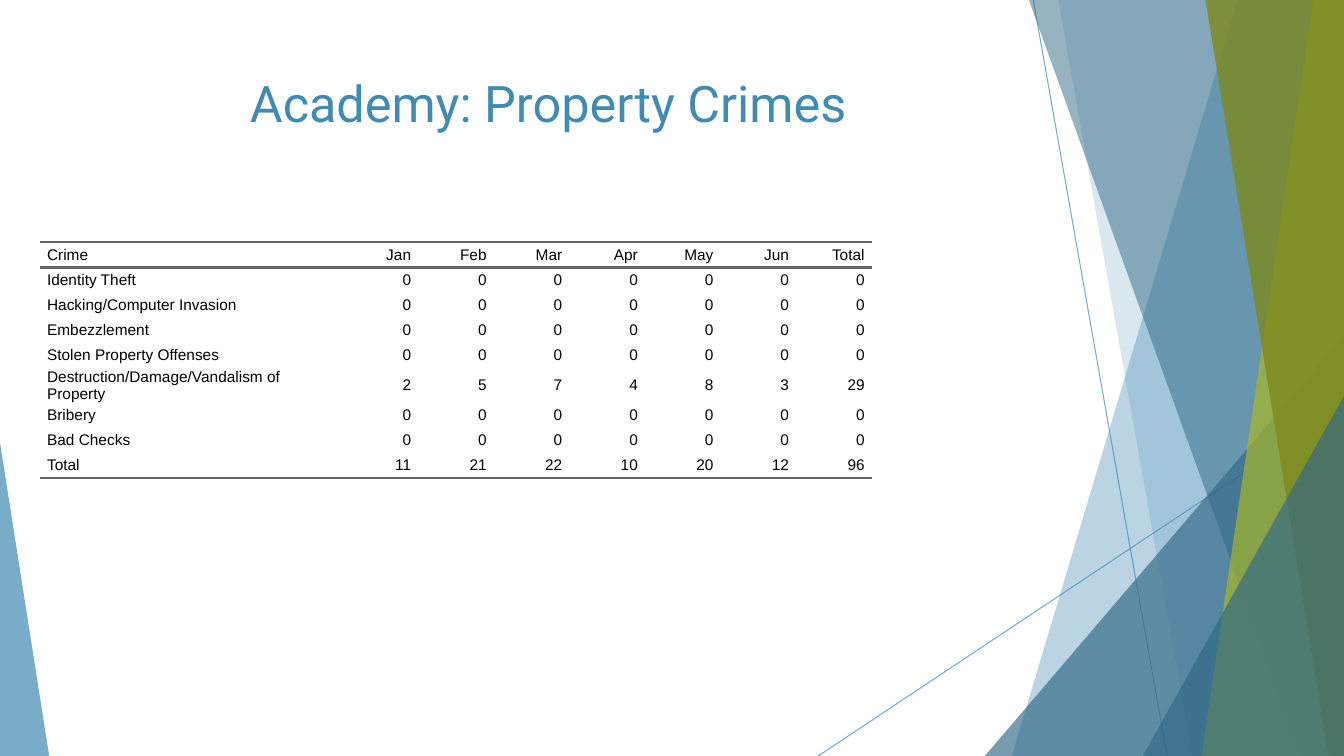
from dataclasses import dataclass

from lxml import etree
from pptx import Presentation
from pptx.dml.color import RGBColor
from pptx.enum.shapes import MSO_CONNECTOR, MSO_SHAPE
from pptx.enum.text import MSO_ANCHOR, PP_ALIGN
from pptx.oxml.ns import qn
from pptx.util import Cm, Pt

LINE = MSO_CONNECTOR.STRAIGHT
WEDGE = MSO_SHAPE.ISOSCELES_TRIANGLE
LEFT, RIGHT, CENTER = PP_ALIGN.LEFT, PP_ALIGN.RIGHT, PP_ALIGN.CENTER
TOP, MIDDLE = MSO_ANCHOR.TOP, MSO_ANCHOR.MIDDLE
PLAIN = "{2D5ABB26-0587-4C30-8999-92F81FD0307C}"  # table style without lines or fills


@dataclass(frozen=True)
class Theme:
    blue: str = "418AB3"
    navy: str = "316886"
    lime: str = "A6B727"
    olive: str = "7D891D"
    ink: str = "000000"
    rule: str = "666666"
    head: str = "Roboto"
    body: str = "Arial"
    title: int = 36
    cell: int = 11


@dataclass(frozen=True)
class Box:
    x: float
    y: float
    w: float
    h: float

    def emu(self):
        return Cm(self.x), Cm(self.y), Cm(self.w), Cm(self.h)


THEME = Theme()
WIDE, HIGH = 33.87, 19.05

# Fan parts from back to front: a band has its top and bottom left x,
# a wedge has its left x and top y; all reach the right edge and the bottom.
FAN = [
    ("band", 10.57, 4.88, THEME.blue, 36),
    ("band", 6.05, 9.43, THEME.blue, 20),
    ("wedge", 4.2, 8.46, THEME.navy, 66),
    ("band", 5.31, 12.17, THEME.navy, 50),
    ("band", 12.48, 9.66, THEME.lime, 70),
    ("band", 9.76, 12.86, THEME.olive, 80),
    ("wedge", 8.18, 9.98, THEME.navy, 66),
]

MONTHS = ["Jan", "Feb", "Mar", "Apr", "May", "Jun"]
NONE = [0] * 7
CRIMES = [
    ["Crime", *MONTHS, "Total"],
    ["Identity Theft", *NONE],
    ["Hacking/Computer Invasion", *NONE],
    ["Embezzlement", *NONE],
    ["Stolen Property Offenses", *NONE],
    ["Destruction/Damage/Vandalism of Property", 2, 5, 7, 4, 8, 3, 29],
    ["Bribery", *NONE],
    ["Bad Checks", *NONE],
    ["Total", 11, 21, 22, 10, 20, 12, 96],
]


def apply(item, values):
    for name, value in values.items():
        setattr(item, name, value)


def write(para, text, font, size, color, **style):
    run = para.add_run()
    run.text = text
    apply(run.font, {"name": font, "size": Pt(size)})
    run.font.color.rgb = RGBColor.from_string(color)
    apply(para, style)


def fade(fill, alpha):
    """Set the opacity, in percent, of a solid fill."""
    color = fill.find(".//" + qn("a:srgbClr"))
    etree.SubElement(color, qn("a:alpha"), val=str(alpha * 1000))


def paint(shape, color, alpha):
    shape.shadow.inherit = False
    shape.fill.solid()
    shape.fill.fore_color.rgb = RGBColor.from_string(color)
    shape.line.fill.background()
    fade(shape.element.spPr.find(qn("a:solidFill")), alpha)


def add_line(slide, start, end):
    line = slide.shapes.add_connector(LINE, *map(Cm, start + end))
    line.line.color.rgb = RGBColor.from_string(THEME.blue)
    line.line.width = Pt(0.75)
    props = line.element.spPr
    fade(props.find(qn("a:ln")), 70)
    etree.SubElement(props, qn("a:effectLst"))


def add_wedge(slide, box, tip, color, alpha):
    wedge = slide.shapes.add_shape(WEDGE, *box.emu())
    wedge.adjustments[0] = tip
    paint(wedge, color, alpha)


def add_band(slide, box, top, foot, color, alpha):
    """Fill from a slanted left side to the right edge of the box."""
    right, base = box.x + box.w, box.y + box.h
    path = slide.shapes.build_freeform(Cm(box.x + top), Cm(box.y), 1)
    corners = [(right, box.y), (right, base), (box.x + foot, base)]
    path.add_line_segments([(Cm(x), Cm(y)) for x, y in corners])
    paint(path.convert_to_shape(), color, alpha)


def add_fan(slide, box):
    right, base = box.x + box.w, box.y + box.h
    add_line(slide, (box.x + 5.42, box.y), (box.x + 8.79, base))
    add_line(slide, (right, box.y + 10.24), (box.x, base))
    for kind, a, b, color, alpha in FAN:
        if kind == "band":
            add_band(slide, box, a, b, color, alpha)
        else:
            area = Box(box.x + a, box.y + b, box.w - a, box.h - b)
            add_wedge(slide, area, 1, color, alpha)


def add_rule(cell, side):
    props = cell._tc.get_or_add_tcPr()
    line = etree.SubElement(props, qn("a:" + side), w=str(Pt(2)))
    fill = etree.SubElement(line, qn("a:solidFill"))
    etree.SubElement(fill, qn("a:srgbClr"), val=THEME.rule)


def fill_cell(cell, text, align, sides):
    for side in sides:
        add_rule(cell, side)
    cell.fill.background()
    apply(cell, {"vertical_anchor": MIDDLE, "margin_left": 0, "margin_right": 0,
                 "margin_top": 0, "margin_bottom": 0})
    para = cell.text_frame.paragraphs[0]
    write(para, str(text), THEME.body, THEME.cell, THEME.ink,
          alignment=align, space_before=Pt(5), space_after=Pt(5))
    for side in ("marL", "marR"):
        para._p.get_or_add_pPr().set(side, str(Pt(5)))


def add_crimes(slide, box):
    last = len(CRIMES) - 1
    table = slide.shapes.add_table(len(CRIMES), len(CRIMES[0]), *box.emu()).table
    apply(table, {"first_row": False, "horz_banding": False})
    table._tbl.tblPr.find(qn("a:tableStyleId")).text = PLAIN
    # The first column is as wide as four of the others.
    unit = box.w / (len(CRIMES[0]) + 3)
    for i, col in enumerate(table.columns):
        col.width = Cm(unit if i else unit * 4)
    for r, values in enumerate(CRIMES):
        table.rows[r].height = Cm(box.h / len(CRIMES))
        sides = {0: ("lnT", "lnB"), last: ("lnB",)}.get(r, ())
        for c, value in enumerate(values):
            fill_cell(table.cell(r, c), value, RIGHT if c else LEFT, sides)


def add_title(slide, box, text):
    frame = slide.shapes.add_textbox(*box.emu()).text_frame
    apply(frame, {"word_wrap": True, "vertical_anchor": TOP})
    write(frame.paragraphs[0], text, THEME.head, THEME.title, THEME.blue,
          alignment=CENTER)


def main():
    deck = Presentation()
    apply(deck, {"slide_width": Cm(WIDE), "slide_height": Cm(HIGH)})
    slide = deck.slides.add_slide(deck.slide_layouts[6])
    add_fan(slide, Box(20.62, 0, WIDE - 20.62, HIGH))
    add_wedge(slide, Box(0, 11.15, 1.24, HIGH - 11.15), 0, THEME.blue, 70)
    add_crimes(slide, Box(1.01, 6.1, 20.96, 5.72))
    add_title(slide, Box(1.88, 1.7, 23.88, 3.66), "Academy: Property Crimes")
    deck.save("out.pptx")


if __name__ == "__main__":
    main()
